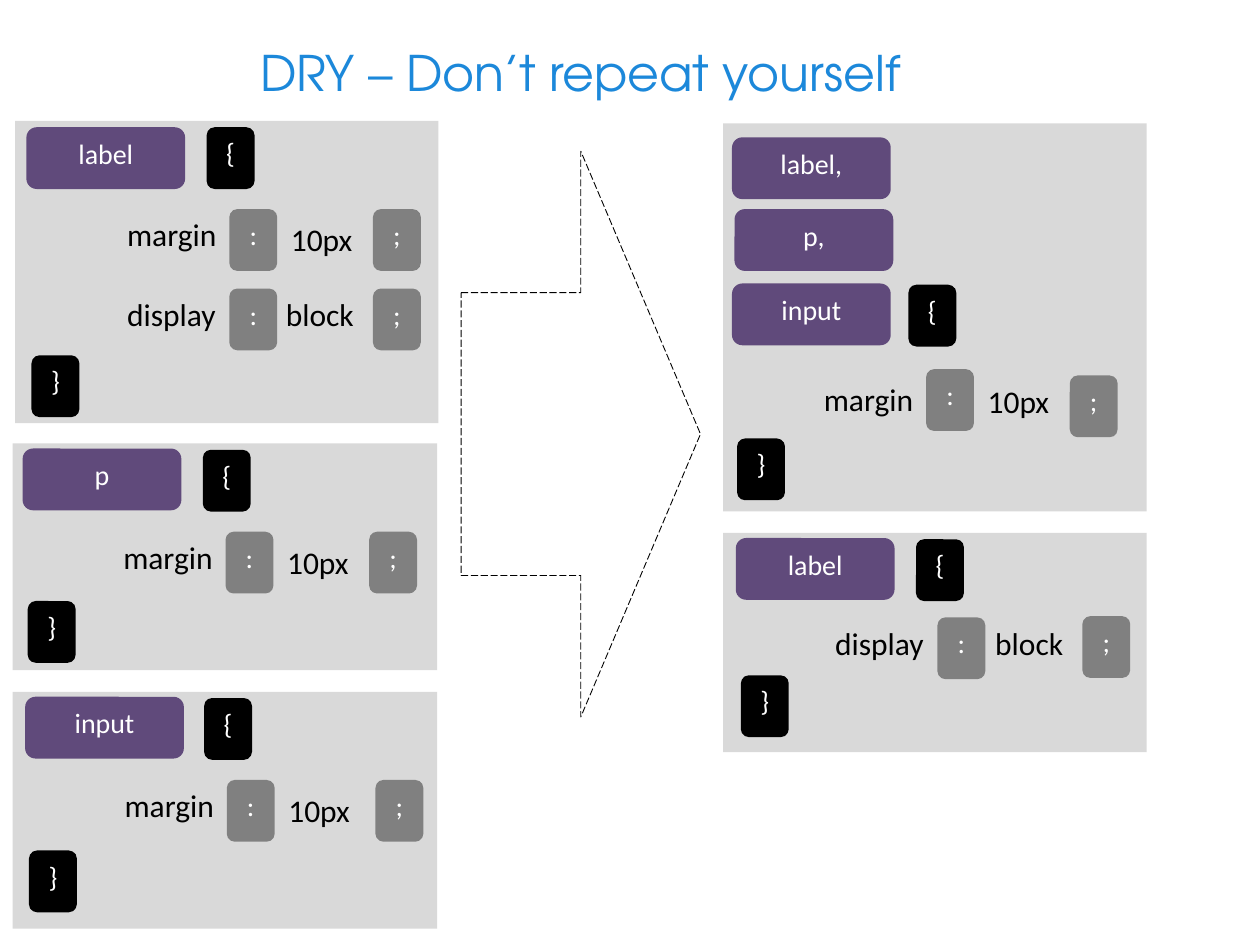
from pptx import Presentation
from pptx.dml.color import RGBColor
from pptx.enum.dml import MSO_LINE
from pptx.enum.shapes import MSO_SHAPE
from pptx.enum.text import MSO_ANCHOR, MSO_AUTO_SIZE, PP_ALIGN
from pptx.util import Inches, Pt

RECT = MSO_SHAPE.RECTANGLE
ROUNDED = MSO_SHAPE.ROUNDED_RECTANGLE
ARROW = MSO_SHAPE.RIGHT_ARROW
LONG_DASH = MSO_LINE.LONG_DASH
TOP = MSO_ANCHOR.TOP
CENTER = PP_ALIGN.CENTER
FIT = MSO_AUTO_SIZE.SHAPE_TO_FIT_TEXT

COLORS = {
    "panel": "D9D9D9",
    "selector": "604A7B",
    "brace": "000000",
    "mark": "808080",
    "light": "FFFFFF",
    "dark": "000000",
    "title": "1C88DA",
}
SELECTOR_W, MARK_W, CHIP_H = 12.6, 3.8, 4.9
COLON_DX, TEXT_H = 9.1, 4

prs = Presentation()
prs.slide_width, prs.slide_height = Inches(10), Inches(7.5)
COL, ROW = prs.slide_width / 100, prs.slide_height / 75
s = prs.slides.add_slide(prs.slide_layouts[6])


def add_block(kind, x, y, w, h, fill, text=""):
    sp = s.shapes.add_shape(kind, int(x * COL), int(y * ROW), int(w * COL), int(h * ROW))
    sp.shadow.inherit = False
    sp.line.fill.background()
    sp.fill.solid()
    sp.fill.fore_color.rgb = RGBColor.from_string(COLORS[fill])
    if text:
        tf = sp.text_frame
        tf.text = text
        tf.vertical_anchor = TOP
        p = tf.paragraphs[0]
        p.alignment = CENTER
        p.font.name, p.font.size = "Calibri", Pt(16)
        p.font.color.rgb = RGBColor.from_string(COLORS["light"])


def add_label(x, y, w, h, text, font="Calibri", size=18, color="dark"):
    sp = s.shapes.add_textbox(int(x * COL), int(y * ROW), int(w * COL), int(h * ROW))
    tf = sp.text_frame
    tf.text = text
    tf.word_wrap = False
    tf.auto_size = FIT
    r = tf.paragraphs[0].runs[0]
    r.font.name, r.font.size = font, Pt(size)
    r.font.color.rgb = RGBColor.from_string(COLORS[color])


# Each declaration: column, row, property, value, value offset, semicolon offset, colon row offset
rules = [
    {"panel": (1.2, 9.6, 33.6, 24), "selectors": [(2.1, 10.1, "label")],
     "open": (16.4, 10.1), "close": (2.5, 28.2),
     "declarations": [(9.1, 16.6, "margin", "10px", (13, 0.4), (20.5, 0), 0),
                      (9.1, 22.9, "display", "block", (12.6, 0), (20.5, 0), 0)]},
    {"panel": (1, 35.2, 33.7, 18), "selectors": [(1.8, 35.6, "p")],
     "open": (16.1, 35.7), "close": (2.2, 47.7),
     "declarations": [(8.8, 42.2, "margin", "10px", (13, 0.4), (20.5, 0), 0)]},
    {"panel": (1, 54.9, 33.7, 18.8), "selectors": [(2, 55.3, "input")],
     "open": (16.2, 55.4), "close": (2.3, 67.5),
     "declarations": [(8.9, 61.9, "margin", "10px", (13, 0.4), (20.9, 0), 0)]},
    {"panel": (57.4, 9.8, 33.6, 30.8),
     "selectors": [(58.1, 10.9, "label,"), (58.3, 16.6, "p,"), (58.1, 22.5, "input")],
     "open": (72.1, 22.6), "close": (58.5, 34.8),
     "declarations": [(64.4, 29.7, "margin", "10px", (13, 0.1), (20.5, 0.1), -0.4)]},
    {"panel": (57.4, 42.3, 33.6, 17.4), "selectors": [(58.4, 42.7, "label")],
     "open": (72.7, 42.8), "close": (58.8, 53.6),
     "declarations": [(65.3, 49, "display", "block", (12.7, 0), (20.6, -0.1), 0)]},
]

for rule in rules:
    add_block(RECT, *rule["panel"], "panel")
    for x, y, name in rule["selectors"]:
        add_block(ROUNDED, x, y, SELECTOR_W, CHIP_H, "selector", name)
    for key, brace in (("open", "{"), ("close", "}")):
        add_block(ROUNDED, *rule[key], MARK_W, CHIP_H, "brace", brace)
    for x, y, name, value, (vx, vy), (ex, ey), colon_dy in rule["declarations"]:
        add_label(x, y, 9.2, TEXT_H, name)
        add_block(ROUNDED, x + COLON_DX, y + colon_dy, MARK_W, CHIP_H, "mark", ":")
        add_label(x + vx, y + vy, 7.5, TEXT_H, value)
        add_block(ROUNDED, x + ex, y + ey, MARK_W, CHIP_H, "mark", ";")

add_label(19.7, 2.9, 53.9, 5.7, "DRY – Don’t repeat yourself", "TeX Gyre Adventor", 28, "title")

arrow = s.shapes.add_shape(ARROW, int(36.6 * COL), int(12 * ROW), int(19 * COL), int(44.9 * ROW))
arrow.shadow.inherit = False
arrow.fill.background()
arrow.line.color.rgb = RGBColor.from_string(COLORS["dark"])
arrow.line.width = Pt(0.5)
arrow.line.dash_style = LONG_DASH

prs.save("out.pptx")
